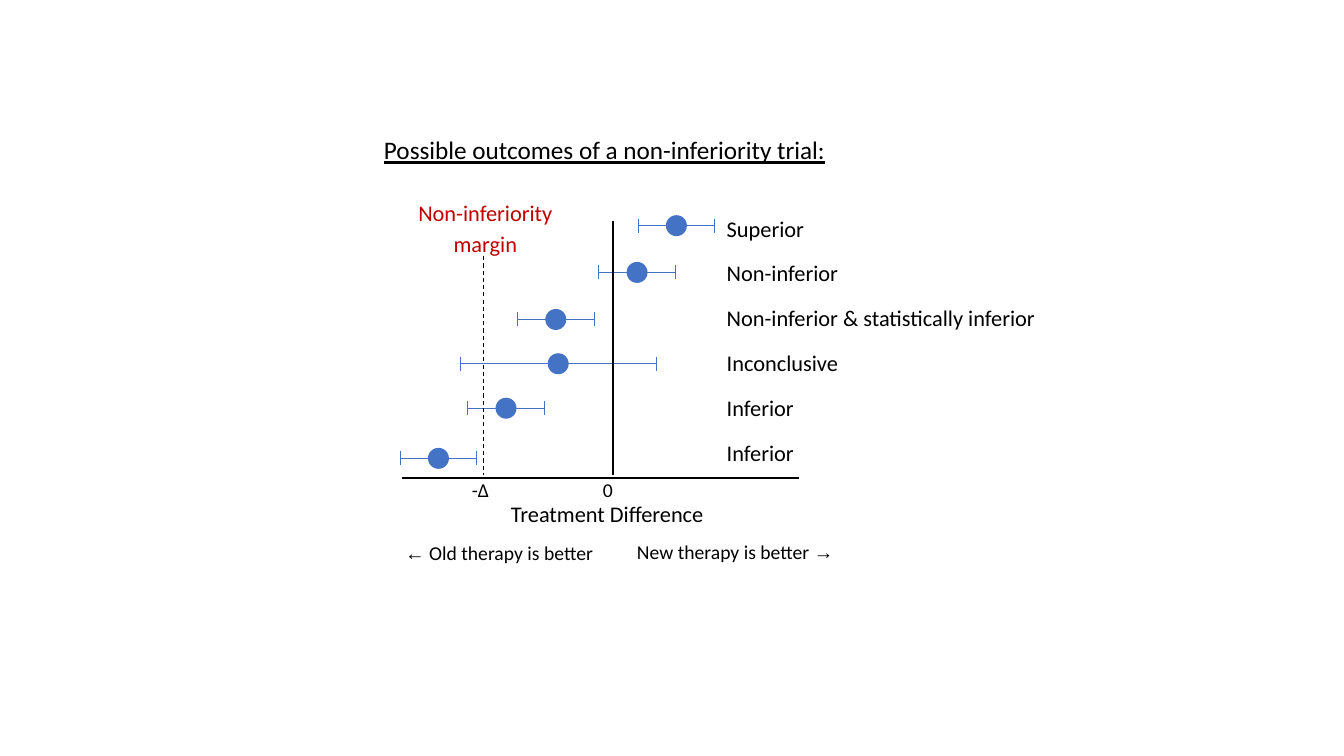
"""Build a slide showing the possible outcomes of a non-inferiority trial."""
from lxml import etree
from pptx import Presentation
from pptx import util as u
from pptx.dml.color import RGBColor
from pptx.enum import dml, shapes, text
from pptx.oxml.ns import qn

COLORS = {"interval": "4472C4", "ink": "000000", "margin": "C00000"}
DOT = 15
CAP = 10

deck = Presentation()
deck.slide_width, deck.slide_height = u.Pt(960), u.Pt(540)
page = deck.slides.add_slide(deck.slide_layouts[6])


def add_line(x1, y1, x2, y2, color="ink", width=1.5, dash=None):
    line = page.shapes.add_connector(
        shapes.MSO_CONNECTOR.STRAIGHT, u.Pt(x1), u.Pt(y1), u.Pt(x2), u.Pt(y2))
    line.line.color.rgb = RGBColor.from_string(COLORS[color])
    line.line.width = u.Pt(width)
    if dash:
        line.line.dash_style = dash
    etree.SubElement(line._element.spPr, qn("a:effectLst"))


def add_text(content, left, top, width, height, size=16, color="ink",
             align=text.PP_ALIGN.LEFT, underline=None):
    box = page.shapes.add_textbox(u.Pt(left), u.Pt(top), u.Pt(width), u.Pt(height))
    frame = box.text_frame
    frame.word_wrap = True
    frame.margin_left = frame.margin_right = frame.margin_top = frame.margin_bottom = 0
    frame.text = content
    for para in frame.paragraphs:
        para.alignment = align
        para.line_spacing = 1.15
        para.space_after = u.Pt(10)
        for span in para.runs:
            span.font.name = "Calibri"
            span.font.size = u.Pt(size)
            span.font.underline = underline
            span.font.color.rgb = RGBColor.from_string(COLORS[color])
    return frame.paragraphs[0]


outcomes = [
    ("Superior", 161.2, 455.8, 510.5),
    ("Non-inferior", 194.6, 427.7, 482.4),
    ("Non-inferior & statistically inferior", 228.2, 369.4, 424.6),
    ("Inconclusive", 259.8, 328.7, 468.7),
    ("Inferior", 291.6, 334.1, 388.8),
    ("Inferior", 327.4, 285.8, 340.6),
]
for label, y, low, high in outcomes:
    dot = page.shapes.add_shape(
        shapes.MSO_SHAPE.OVAL, u.Pt((low + high - DOT) / 2), u.Pt(y - DOT / 2),
        u.Pt(DOT), u.Pt(DOT))
    dot.shadow.inherit = False
    dot.fill.solid()
    dot.fill.fore_color.rgb = RGBColor.from_string(COLORS["interval"])
    dot.line.fill.background()
    add_line(low, y, high, y, color="interval", width=0.5)
    for end in (low, high):
        add_line(end, y - CAP / 2, end, y + CAP / 2, color="interval", width=0.5)

add_line(287.2, 341.4, 570.4, 341.4)
add_line(438, 157.8, 438, 339)
add_line(345.6, 183, 345.6, 339, width=0.75, dash=dml.MSO_LINE.DASH)

add_text("Possible outcomes of a non-inferiority trial:", 274.3, 92.9, 432, 35.3,
         size=18, underline=True)
add_text("Non-inferiority margin", 276.5, 139.7, 140.4, 60.5,
         color="margin", align=text.PP_ALIGN.CENTER)
add_text("\n".join(outcome[0] for outcome in outcomes), 519.1, 150.5, 244.1, 202.3)
add_text("-∆", 337, 339.1, 24.5, 26.6, size=14)
add_text("0", 430.6, 339.1, 14.4, 26.6, size=14)
add_text("Treatment Difference", 365, 354.2, 199.4, 26.6)

old_better = add_text("←", 289.4, 383.8, 221, 26.6, size=14)
old_better.runs[0].font.name = "Arial"
new_better = add_text("New therapy is better ", 455, 383, 244.1, 26.6, size=14)
for para, words, font in ((old_better, " Old therapy is better", "Calibri"),
                          (new_better, "→", "Arial")):
    span = para.add_run()
    span.text = words
    span.font.name = font
    span.font.size = u.Pt(14)
    span.font.color.rgb = RGBColor.from_string(COLORS["ink"])

deck.save("out.pptx")
